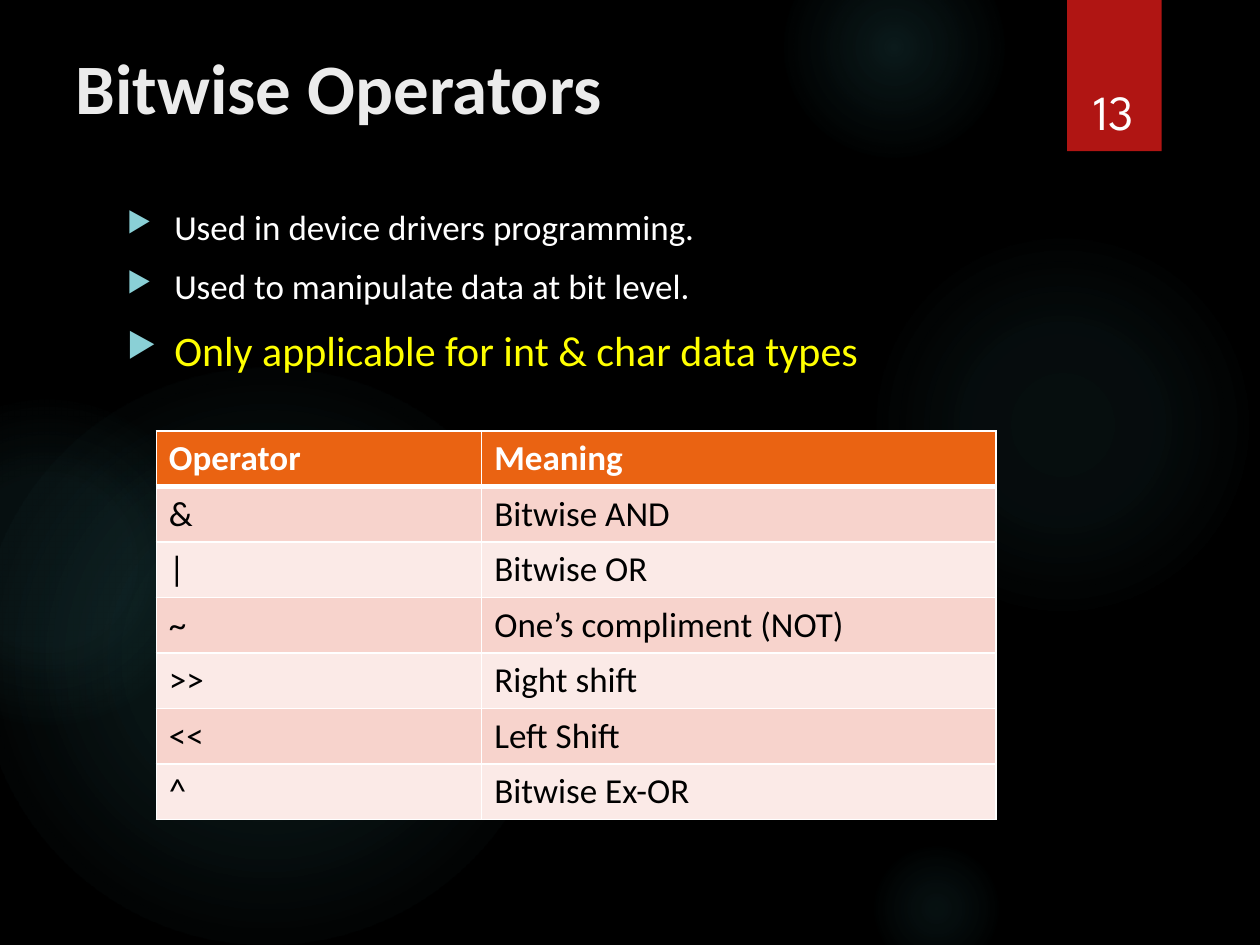
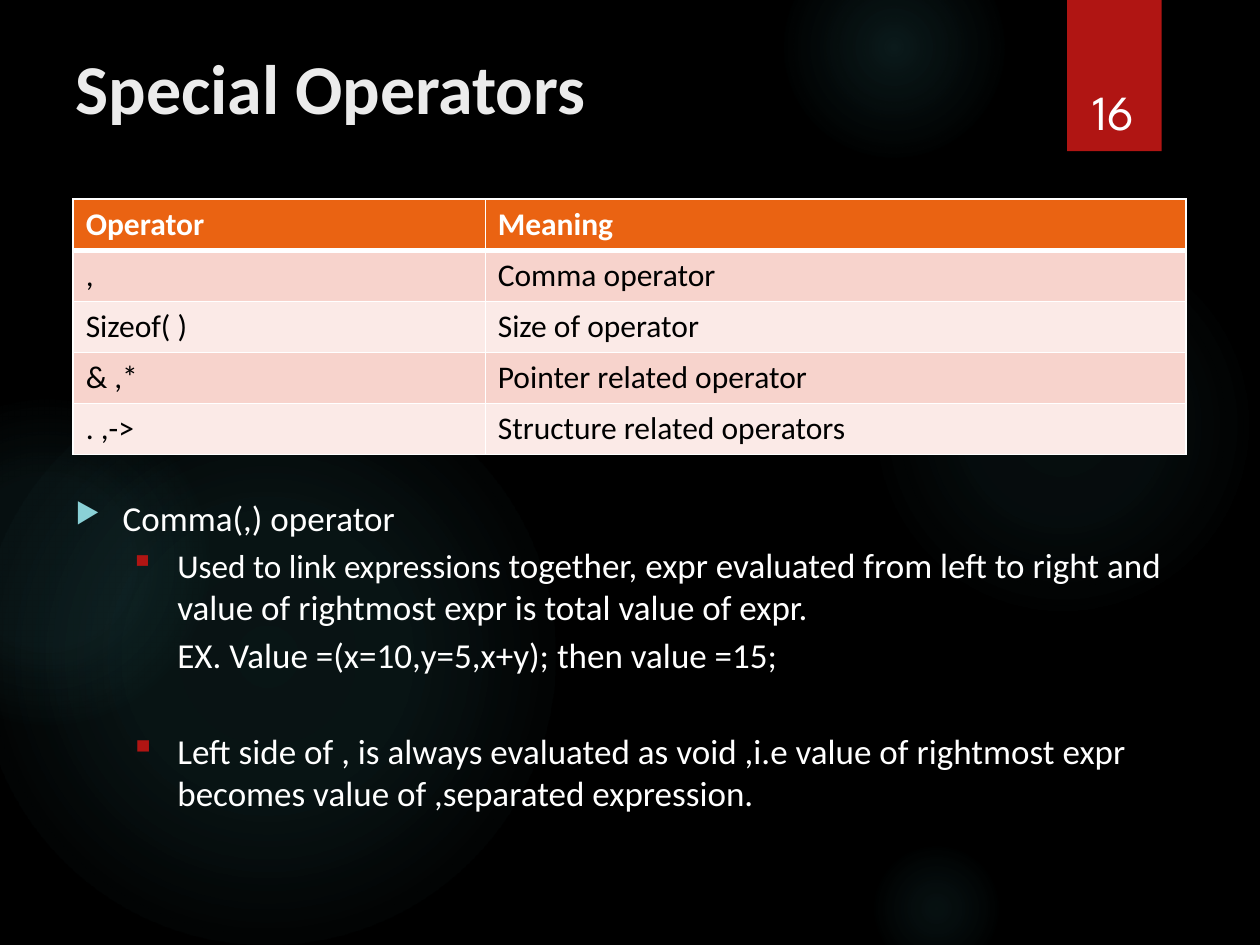
from dataclasses import dataclass

from lxml import etree
from pptx import Presentation
from pptx.dml.color import RGBColor
from pptx.enum.shapes import MSO_SHAPE
from pptx.enum.text import MSO_ANCHOR, MSO_AUTO_SIZE, PP_ALIGN
from pptx.oxml import parse_xml
from pptx.oxml.ns import nsdecls, qn
from pptx.util import Pt

ELLIPSE, RECTANGLE = MSO_SHAPE.OVAL, MSO_SHAPE.RECTANGLE
TOP, MIDDLE, BOTTOM = MSO_ANCHOR.TOP, MSO_ANCHOR.MIDDLE, MSO_ANCHOR.BOTTOM
LEFT, CENTER = PP_ALIGN.LEFT, PP_ALIGN.CENTER
NO_AUTOFIT = MSO_AUTO_SIZE.NONE
TITLE_ONLY = 5


@dataclass(frozen=True)
class Theme:
    """Colours, fonts and type sizes of the deck."""
    font: str = "Calibri"
    number_font: str = "League Spartan"
    background: RGBColor = RGBColor(0, 0, 0)
    glow: str = "50B9C1"
    red: RGBColor = RGBColor(0xB0, 0x15, 0x13)
    bullet: RGBColor = RGBColor(0x8A, 0xD0, 0xD6)
    title: RGBColor = RGBColor(0xEB, 0xEB, 0xEB)
    white: RGBColor = RGBColor(255, 255, 255)
    black: RGBColor = RGBColor(0, 0, 0)
    yellow: RGBColor = RGBColor(255, 255, 0)
    header: RGBColor = RGBColor(0xEA, 0x63, 0x12)
    bands: tuple = (RGBColor(0xF7, 0xD3, 0xCC), RGBColor(0xFB, 0xEA, 0xE7))
    number_size: float = 28
    body_size: float = 20
    small_size: float = 19
    emphasis_size: float = 24
    table_size: float = 18


THEME = Theme()


@dataclass(frozen=True)
class ListStyle:
    """Indents, spacing and bullet of one list level."""
    level: int
    margin: float
    hanging: float
    space_before: float
    bullet: str = ""
    colour: RGBColor = THEME.bullet
    percent: int = 100


MAIN_POINT = ListStyle(0, 27, 27, 10, "▶", THEME.bullet, 80)
SUB_POINT = ListStyle(1, 58.3, 27, 3.2, "▪", THEME.red)
LATER_SUB_POINT = ListStyle(1, 58.3, 27, 30.8, "▪", THEME.red)
EXAMPLE = ListStyle(1, 58.3, 0, 3.2)

GLOWS = [
    (496, 131.8, 221.8, ((0, 7), (36, 6), (69, 0))),
    (447.8, -36, 126, ((0, 14), (36, 7), (73, 0))),
    (496, 480.2, 77.8, ((0, 9), (36, 5), (66, 0))),
    (-12.2, 210.2, 329.8, ((0, 11), (36, 10), (75, 0))),
    (-66.2, 228.2, 185.8, ((0, 8), (36, 8), (72, 0))),
]


def format_span(span, size, colour, bold=False, font=THEME.font):
    """Set the font of one run."""
    span.font.name = font
    span.font.size = Pt(size)
    span.font.bold = bold
    span.font.color.rgb = colour


def add_plain_shape(page, kind, left, top, width, height):
    """Add a preset shape with no line and no shadow."""
    shape = page.shapes.add_shape(kind, Pt(left), Pt(top), Pt(width), Pt(height))
    shape.shadow.inherit = False
    shape.line.fill.background()
    return shape


def add_glow(page, left, top, diameter, stops):
    """Add a circle that fades out from its centre."""
    glow = add_plain_shape(page, ELLIPSE, left, top, diameter, diameter)
    glow.fill.background()
    stop_xml = "".join(
        f'<a:gs pos="{position * 1000}"><a:srgbClr val="{THEME.glow}">'
        f'<a:alpha val="{alpha * 1000}"/></a:srgbClr></a:gs>'
        for position, alpha in stops)
    gradient = parse_xml(
        f'<a:gradFill {nsdecls("a")} rotWithShape="1"><a:gsLst>{stop_xml}</a:gsLst>'
        '<a:path path="circle"><a:fillToRect l="50000" t="50000" r="50000" b="50000"/>'
        '</a:path></a:gradFill>')
    properties = glow.element.spPr
    properties.replace(properties.find(qn("a:noFill")), gradient)
    return glow


def decorate_layout(layout, page):
    """Give the layout its background, glows and number tab, drawn through a page."""
    layout.background.fill.solid()
    layout.background.fill.fore_color.rgb = THEME.background
    shapes = [add_glow(page, *glow) for glow in GLOWS]
    tab = add_plain_shape(page, RECTANGLE, 609.8, 0, 54, 86.4)
    tab.fill.solid()
    tab.fill.fore_color.rgb = THEME.red
    for shape in shapes + [tab]:
        layout.shapes.element.append(shape.element)


def set_title(page, text, size, height):
    """Place and format the title of a page."""
    title = page.shapes.title
    title.left, title.top, title.width, title.height = Pt(36), Pt(21.6), Pt(648), Pt(height)
    frame = title.text_frame
    frame.text = text
    frame.word_wrap = True
    frame.auto_size = NO_AUTOFIT
    frame.vertical_anchor = TOP
    para = frame.paragraphs[0]
    para.alignment = LEFT
    format_span(para.runs[0], size, THEME.title, bold=True)


def add_box(page, left, top, width, height, anchor=TOP):
    """Add a wrapping text box and return its text frame."""
    box = page.shapes.add_textbox(Pt(left), Pt(top), Pt(width), Pt(height))
    frame = box.text_frame
    frame.word_wrap = True
    frame.vertical_anchor = anchor
    return frame


def add_page_number(page, number):
    """Write the page number on the red tab."""
    frame = add_box(page, 611.3, 23, 49.7, 60.5, BOTTOM)
    frame.text = str(number)
    para = frame.paragraphs[0]
    para.alignment = CENTER
    format_span(para.runs[0], THEME.number_size, THEME.white, font=THEME.number_font)


def style_list_item(para, style):
    """Set level, indents and bullet of a paragraph."""
    para.level = style.level
    properties = para._p.get_or_add_pPr()
    properties.set("marL", str(Pt(style.margin)))
    properties.set("indent", str(-Pt(style.hanging)))
    if style.bullet:
        colour = etree.SubElement(properties, qn("a:buClr"))
        etree.SubElement(colour, qn("a:srgbClr"), val=str(style.colour))
        etree.SubElement(properties, qn("a:buSzPct"), val=str(style.percent * 1000))
        etree.SubElement(properties, qn("a:buChar"), char=style.bullet)


def add_list(page, left, top, width, height, items):
    """Add a list whose items are a style and its (text, size, colour) spans."""
    frame = add_box(page, left, top, width, height)
    for index, (style, spans) in enumerate(items):
        para = frame.add_paragraph() if index else frame.paragraphs[0]
        style_list_item(para, style)
        para.space_before = Pt(style.space_before if index else 0)
        for text, size, colour in spans:
            span = para.add_run()
            span.text = text
            format_span(span, size, colour)


def set_borders(cell, top_width, bottom_width):
    """Draw white borders round a cell."""
    properties = cell._tc.get_or_add_tcPr()
    for side, width in (("L", 1), ("R", 1), ("T", top_width), ("B", bottom_width)):
        line = etree.SubElement(properties, qn(f"a:ln{side}"), w=str(Pt(width)))
        fill = etree.SubElement(line, qn("a:solidFill"))
        etree.SubElement(fill, qn("a:srgbClr"), val=str(THEME.white))


def add_operator_table(page, left, top, widths, row_height, size, operators):
    """Add a banded table of operators and their meanings."""
    rows = [("Operator", "Meaning")] + operators
    table = page.shapes.add_table(len(rows), len(widths), Pt(left), Pt(top),
                                  Pt(sum(widths)), Pt(row_height * len(rows))).table
    for column, width in zip(table.columns, widths):
        column.width = Pt(width)
    for row_index, texts in enumerate(rows):
        is_header = row_index == 0
        table.rows[row_index].height = Pt(row_height)
        for column_index, text in enumerate(texts):
            cell = table.cell(row_index, column_index)
            cell.text_frame.text = text
            cell.vertical_anchor = MIDDLE
            set_borders(cell, 3 if row_index == 1 else 1, 3 if is_header else 1)
            cell.fill.solid()
            cell.fill.fore_color.rgb = THEME.header if is_header else THEME.bands[(row_index - 1) % 2]
            format_span(cell.text_frame.paragraphs[0].runs[0], size,
                        THEME.white if is_header else THEME.black, is_header)


def build_bitwise_page(page):
    """Fill the page on bitwise operators."""
    set_title(page, "Bitwise Operators", 40.5, 74.2)
    add_list(page, 65.5, 113.8, 528.5, 130, [
        (MAIN_POINT, [("Used in device drivers programming.", THEME.body_size, THEME.white)]),
        (MAIN_POINT, [("Used to manipulate data at bit level.", THEME.body_size, THEME.white)]),
        (MAIN_POINT, [("Only applicable for int & char data types",
                       THEME.emphasis_size, THEME.yellow)]),
    ])
    add_operator_table(page, 89.3, 246.2, (186, 294), 31.75, THEME.body_size, [
        ("&", "Bitwise AND"),
        ("|", "Bitwise OR"),
        ("~", "One’s compliment (NOT)"),
        (">>", "Right shift"),
        ("<<", "Left Shift"),
        ("^", "Bitwise Ex-OR"),
    ])
    add_page_number(page, 13)


def build_special_page(page):
    """Fill the page on special operators."""
    set_title(page, "Special Operators", 40, 68.4)
    add_operator_table(page, 41.8, 113.8, (235.5, 400.5), 29.2, THEME.table_size, [
        (",", "Comma operator"),
        ("Sizeof( )", "Size of operator"),
        ("& ,*", "Pointer related operator"),
        (". ,->", "Structure related operators"),
    ])
    add_list(page, 36, 280, 648, 211.7, [
        (MAIN_POINT, [("Comma(,) operator", THEME.body_size, THEME.white)]),
        (SUB_POINT, [
            ("Used to link expressions ", THEME.small_size, THEME.white),
            ("together, expr evaluated from left to right and value of rightmost expr "
             "is total value of expr.", THEME.body_size, THEME.white)]),
        (EXAMPLE, [("EX. Value =(x=10,y=5,x+y); then value =15;",
                    THEME.body_size, THEME.white)]),
        (LATER_SUB_POINT, [
            ("Left side of , is always evaluated as void ,i.e value of rightmost expr "
             "becomes value of ,separated expression.", THEME.body_size, THEME.white)]),
    ])
    add_page_number(page, 16)


def main():
    """Build and save the deck."""
    deck = Presentation()
    deck.slide_width, deck.slide_height = Pt(720), Pt(540)
    layout = deck.slide_layouts[TITLE_ONLY]
    bitwise_page, special_page = [deck.slides.add_slide(layout) for _ in range(2)]
    decorate_layout(layout, bitwise_page)
    build_bitwise_page(bitwise_page)
    build_special_page(special_page)
    deck.save("out.pptx")


if __name__ == "__main__":
    main()
